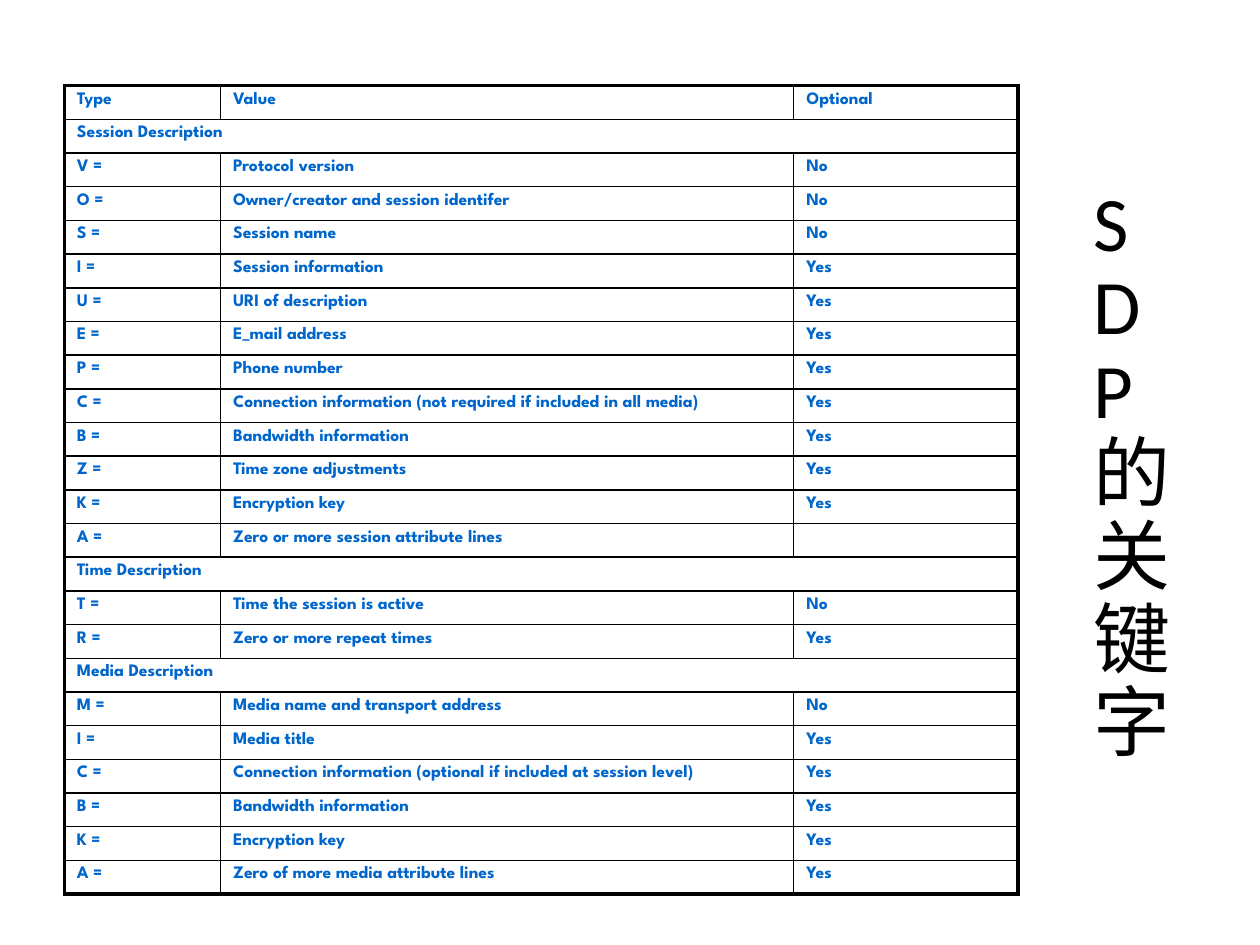
from typing import NamedTuple

import lxml.etree
import pptx
import pptx.dml.color
import pptx.enum.text
import pptx.oxml.ns
import pptx.util

Inches = pptx.util.Inches
Pt = pptx.util.Pt
qn = pptx.oxml.ns.qn

BLACK = "000000"
BLUE = "0066CC"
THIN, THICK = 1, 2.25
COLUMN_WIDTHS = (1.24, 4.55, 1.78)
TABLE_HEIGHT = 6.4


class Field(NamedTuple):
    kind: str
    value: str
    optional: str


class Section(NamedTuple):
    title: str
    fields: list[Field]


HEADER = Field("Type", "Value", "Optional")
SECTIONS = [
    Section("Session Description", [
        Field("V =", "Protocol version", "No"),
        Field("O =", "Owner/creator and session identifer", "No"),
        Field("S =", "Session name", "No"),
        Field("I =", "Session information", "Yes"),
        Field("U =", "URI of description", "Yes"),
        Field("E =", "E_mail address", "Yes"),
        Field("P =", "Phone number", "Yes"),
        Field("C =", "Connection information (not required if included in all media)", "Yes"),
        Field("B =", "Bandwidth information", "Yes"),
        Field("Z =", "Time zone adjustments", "Yes"),
        Field("K =", "Encryption key", "Yes"),
        Field("A =", "Zero or more session attribute lines", ""),
    ]),
    Section("Time Description", [
        Field("T =", "Time the session is active", "No"),
        Field("R =", "Zero or more repeat times", "Yes"),
    ]),
    Section("Media Description", [
        Field("M =", "Media name and transport address", "No"),
        Field("I =", "Media title", "Yes"),
        Field("C =", "Connection information (optional if included at session level)", "Yes"),
        Field("B =", "Bandwidth information", "Yes"),
        Field("K =", "Encryption key", "Yes"),
        Field("A =", "Zero of more media attribute lines", "Yes"),
    ]),
]


def rgb(color: str) -> pptx.dml.color.RGBColor:
    return pptx.dml.color.RGBColor.from_string(color)


def write(tf, text: str, *, size: float, font: str, color: str, bold: bool = False,
          line_spacing: float | None = None) -> None:
    """Fill the frame's first paragraph; line feeds become line breaks."""
    p = tf.paragraphs[0]
    p.line_spacing = line_spacing
    if not text:
        lxml.etree.SubElement(p._p, qn("a:endParaRPr"), sz=str(int(size * 100)))
    for i, line in enumerate(text.split("\n") if text else []):
        if i:
            p.add_line_break()
        r = p.add_run()
        r.text = line
        r.font.size = Pt(size)
        r.font.name = font
        r.font.bold = bold
        r.font.color.rgb = rgb(color)


def set_borders(cell, **widths: float) -> None:
    """Give border widths in points, keyed L, R, T, B in schema order."""
    tc_pr = cell._tc.get_or_add_tcPr()
    for side, width in widths.items():
        ln = lxml.etree.SubElement(tc_pr, qn(f"a:ln{side}"), w=str(Pt(width)))
        fill = lxml.etree.SubElement(ln, qn("a:solidFill"))
        lxml.etree.SubElement(fill, qn("a:srgbClr"), val=BLACK)


def add_keyword_table(s) -> None:
    rows: list[tuple[str, ...]] = [HEADER]
    for section in SECTIONS:
        rows += [(section.title,), *section.fields]
    last_row, last_col = len(rows) - 1, len(COLUMN_WIDTHS) - 1

    table = s.shapes.add_table(
        len(rows), len(COLUMN_WIDTHS), Inches(0.51), Inches(0.68),
        Inches(sum(COLUMN_WIDTHS)), Inches(TABLE_HEIGHT)).table
    table.first_row = table.horz_banding = False
    for column, width in zip(table.columns, COLUMN_WIDTHS):
        column.width = Inches(width)
    for i, texts in enumerate(rows):
        table.rows[i].height = Inches(TABLE_HEIGHT / len(rows))
        spans_row = len(texts) == 1
        if spans_row:
            table.cell(i, 0).merge(table.cell(i, last_col))
        for j, text in enumerate(texts):
            cell = table.cell(i, j)
            set_borders(
                cell,
                L=THICK if j == 0 else THIN,
                R=THICK if spans_row or j == last_col else THIN,
                T=THICK if i == 0 else THIN,
                B=THICK if i == last_row else THIN)
            cell.fill.background()
            write(cell.text_frame, text, size=10, font="League Spartan",
                  color=BLUE, bold=True)


def add_title(s) -> None:
    sp = s.shapes.add_textbox(Inches(8.58), Inches(0.75), Inches(0.67), Inches(6.06))
    tf = sp.text_frame
    tf.word_wrap = True
    tf.vertical_anchor = pptx.enum.text.MSO_ANCHOR.MIDDLE
    write(tf, "S\nD\nP 的关键字", size=44, font="Calibri", color=BLACK, line_spacing=0.9)


def main() -> None:
    prs = pptx.Presentation()
    prs.slide_width, prs.slide_height = Inches(10), Inches(7.5)
    s = prs.slides.add_slide(prs.slide_layouts[6])
    add_title(s)
    add_keyword_table(s)
    prs.save("out.pptx")


if __name__ == "__main__":
    main()
